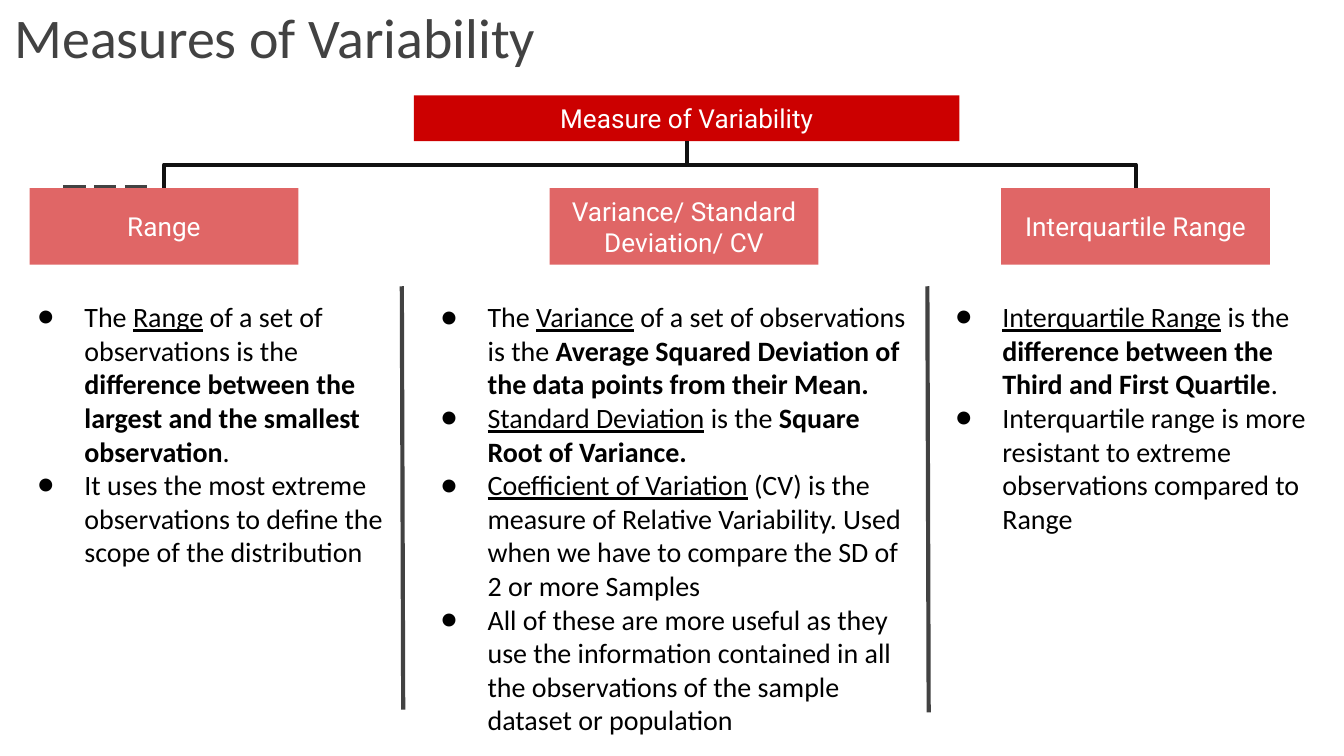
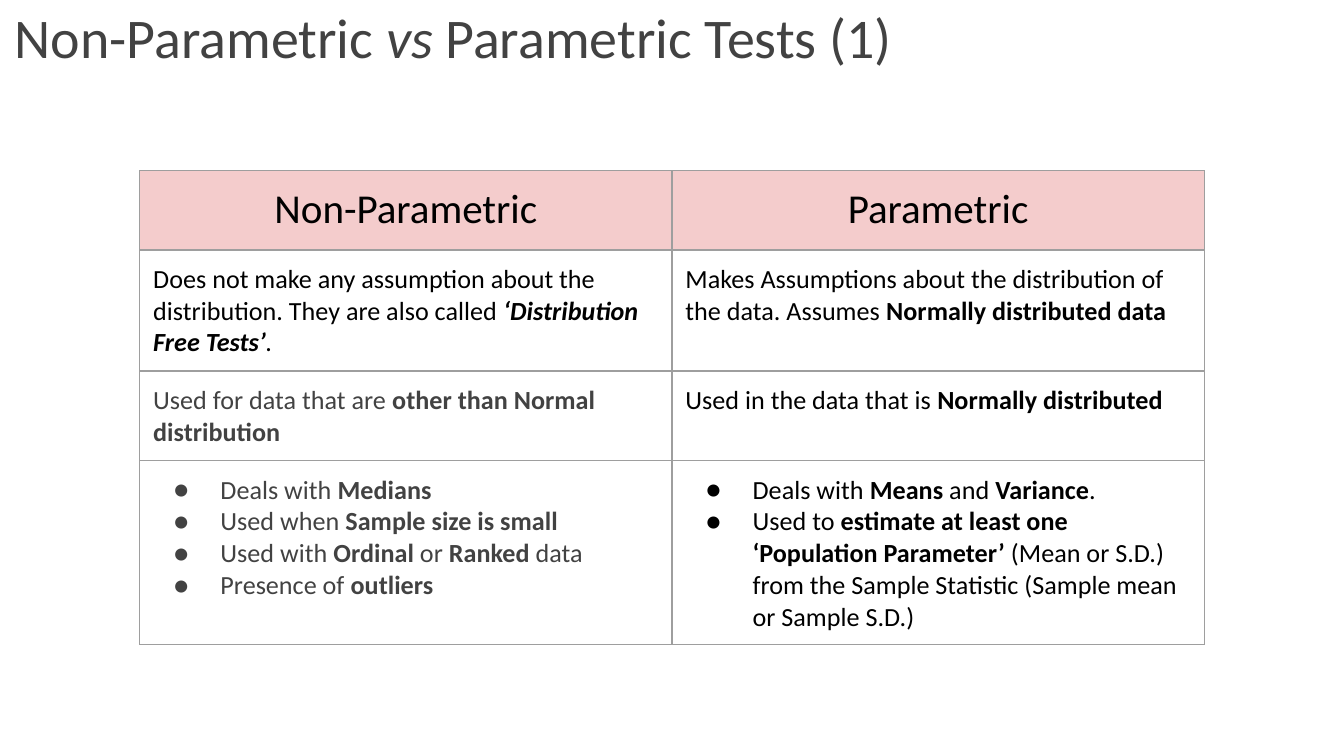
from lxml import etree
from pptx import Presentation
from pptx.dml.color import RGBColor
from pptx.enum import dml, shapes, text
from pptx.oxml import ns
from pptx.util import Inches, Pt

BLACK = RGBColor(0, 0, 0)
WHITE = RGBColor(0xFF, 0xFF, 0xFF)
GREY = RGBColor(0x42, 0x42, 0x42)
INK = RGBColor(0x11, 0x11, 0x11)
RED = RGBColor(0xCC, 0, 0)
ROSE = RGBColor(0xE0, 0x66, 0x66)
PINK = RGBColor(0xF4, 0xCC, 0xCC)
EDGE = RGBColor(0x9E, 0x9E, 0x9E)
BODY, LABEL = "Calibri", "Roboto"

# Content: a paragraph is a list of (words, marks); marks are b, i, u
ROOT = ("Measure of Variability", 3.08, 0.71, 4.06, 0.34)
BRANCHES = [
    # label, box left, list left, list width, list height, points
    ("Range", 0.22, 0.03, 3.12, 2, [
        [("The ", ""), ("Range", "u"), (" of a set of observations is the ", ""),
         ("difference between the largest and the smallest observation", "b"),
         (".", "")],
        [("It uses the most extreme observations to define the scope of "
          "the distribution", "")],
    ]),
    ("Variance/ Standard Deviation/ CV", 4.09, 3.03, 3.83, 3.41, [
        [("The ", ""), ("Variance", "u"), (" of a set of observations is the ", ""),
         ("Average Squared Deviation of the data points from their Mean.", "b")],
        [("Standard Deviation", "u"), (" is the ", ""),
         ("Square Root of Variance.", "b")],
        [("Coefficient of Variation", "u"),
         (" (CV) is the measure of Relative Variability. Used when we have "
          "to compare the SD of 2 or more Samples", "")],
        [("All of these are more useful as they use the information contained "
          "in all the observations of the sample dataset or population", "")],
    ]),
    ("Interquartile Range", 7.45, 6.86, 3.05, 2, [
        [("Interquartile Range", "u"), (" is the ", ""),
         ("difference between the Third and First Quartile", "b"), (".", "")],
        [("Interquartile range is more resistant to extreme observations "
          "compared to Range", "")],
    ]),
]
RULES = [(2.99, 3, 5.28), (6.9, 6.91, 5.3)]

HEADS = ["Non-Parametric", "Parametric"]
ROWS = [
    # height, bulleted, then (colour, paragraphs) for each cell
    (0.52, False,
     (BLACK, [[("Does not make any assumption about the distribution. "
                "They are also called ", ""),
               ("‘Distribution Free Tests’", "bi"), (".", "i")]]),
     (BLACK, [[("Makes Assumptions about the distribution of the data. "
                "Assumes ", ""), ("Normally distributed data", "b")]])),
    (0.5, False,
     (GREY, [[("Used for data that are ", ""),
              ("other than Normal distribution", "b")]]),
     (BLACK, [[("Used in the data that is ", ""),
               ("Normally distributed", "b")]])),
    (0.56, True,
     (GREY, [[("Deals with ", ""), ("Medians", "b")],
             [("Used when ", ""), ("Sample size is small", "b")],
             [("Used with ", ""), ("Ordinal", "b"), (" or ", ""),
              ("Ranked", "b"), (" data", "")],
             [("Presence of ", ""), ("outliers", "b")]]),
     (BLACK, [[("Deals with ", ""), ("Means", "b"), (" and ", ""),
               ("Variance", "b"), (".", "")],
              [("Used to ", ""),
               ("estimate at least one ‘Population Parameter’", "b"),
               (" (Mean or S.D.) from the Sample Statistic "
                "(Sample mean or Sample S.D.)", "")]])),
]


def sub(node, tag, **attrs):
    return etree.SubElement(node, ns.qn(tag), attrs)


def bullet(para, color):
    props = para._p.get_or_add_pPr()
    props.set("marL", str(Inches(0.5)))
    props.set("indent", str(-Inches(0.35)))
    sub(sub(props, "a:buClr"), "a:srgbClr", val=str(color))
    sub(props, "a:buFont", typeface=BODY)
    sub(props, "a:buChar", char="●")


def write(frame, paras, size, color, face=BODY, align=text.PP_ALIGN.LEFT,
          dots=False):
    for n, runs in enumerate(paras):
        para = frame.add_paragraph() if n else frame.paragraphs[0]
        para.alignment = align
        if dots:
            bullet(para, color)
        for words, marks in runs:
            run = para.add_run()
            run.text = words
            font = run.font
            font.name, font.size = face, Pt(size)
            font.color.rgb = color
            font.bold, font.italic = "b" in marks, "i" in marks
            font.underline = "u" in marks


def pad(frame, anchor):
    frame.word_wrap = True
    frame.vertical_anchor = anchor
    frame.margin_left = frame.margin_right = Inches(0.1)
    frame.margin_top = frame.margin_bottom = Inches(0.1)


def area(slide, box, anchor=text.MSO_ANCHOR.TOP):
    frame = slide.shapes.add_textbox(*map(Inches, box)).text_frame
    pad(frame, anchor)
    return frame


def add_page(deck, runs):
    slide = deck.slides.add_slide(deck.slide_layouts[6])
    frame = area(slide, (0.01, -0.01, 9.32, 0.63), text.MSO_ANCHOR.BOTTOM)
    write(frame, [runs], 30, GREY)
    return slide


def add_box(slide, label, box, fill):
    rect = slide.shapes.add_shape(shapes.MSO_SHAPE.RECTANGLE, *map(Inches, box))
    rect.shadow.inherit = False
    rect.fill.solid()
    rect.fill.fore_color.rgb = fill
    rect.line.fill.background()
    pad(rect.text_frame, text.MSO_ANCHOR.MIDDLE)
    write(rect.text_frame, [[(label, "")]], 14, WHITE, LABEL,
          text.PP_ALIGN.CENTER)
    return rect


def add_line(slide, kind, ends, color, width):
    line = slide.shapes.add_connector(kind, *map(Inches, ends))
    line.line.color.rgb = color
    line.line.width = Pt(width)
    sub(line._element.spPr, "a:effectLst")
    return line


def join(slide, top, low):
    """Elbow that leaves the bottom of one box and enters the top of another."""
    link = add_line(slide, shapes.MSO_CONNECTOR.ELBOW, (0, 0, 1, 1), INK, 2.25)
    link.begin_connect(top, 2)
    link.end_connect(low, 0)
    x1, y1 = top.left + top.width // 2, top.top + top.height
    x2, y2 = low.left + low.width // 2, low.top
    # Turned a quarter so that the middle leg runs level
    wide, high = y2 - y1, abs(x2 - x1)
    link.left, link.top = (x1 + x2 - wide) // 2, (y1 + y2 - high) // 2
    link.width, link.height = wide, high
    frame = link._element.spPr.find(ns.qn("a:xfrm"))
    for key in ("flipH", "flipV"):
        frame.attrib.pop(key, None)
    right = x2 > x1
    frame.set("rot", str((270 if right else 90) * 60000))
    if right:
        frame.set("flipH", "1")


def style(cell, fill=None):
    cell.margin_left = cell.margin_right = Inches(0.1)
    cell.margin_top = cell.margin_bottom = Inches(0.1)
    props = cell._tc.get_or_add_tcPr()
    for side in "LRTB":
        edge = sub(props, "a:ln" + side, w=str(Pt(0.75)))
        sub(sub(edge, "a:solidFill"), "a:srgbClr", val=str(EDGE))
    if fill is None:
        cell.fill.background()
    else:
        cell.fill.solid()
        cell.fill.fore_color.rgb = fill


def add_tree(deck):
    slide = add_page(deck, [("Measures of Variability", "")])
    straight = shapes.MSO_CONNECTOR.STRAIGHT
    dash = add_line(slide, straight, (0.47, 1.39, 1.14, 1.39), GREY, 1.5)
    dash.line.dash_style = dml.MSO_LINE.LONG_DASH
    root = add_box(slide, ROOT[0], ROOT[1:], RED)
    for label, x, left, width, height, points in BRANCHES:
        node = add_box(slide, label, (x, 1.4, 2, 0.57), ROSE)
        if label != BRANCHES[1][0]:
            join(slide, root, node)
        frame = area(slide, (left, 2.13, width, height))
        write(frame, points, 15, BLACK, dots=True)
    for x1, x2, end in RULES:
        add_line(slide, straight, (x1, 2.13, x2, end), GREY, 2.25)


def add_grid(deck):
    slide = add_page(deck, [("Non-Parametric ", ""), ("vs ", "i"),
                            ("Parametric Tests (1)", "")])
    wide, head = 3.96, 0.59
    high = head + sum(row[0] for row in ROWS)
    box = (1.04, 1.27, wide * len(HEADS), high)
    table = slide.shapes.add_table(len(ROWS) + 1, len(HEADS),
                                   *map(Inches, box)).table
    table.first_row = table.horz_banding = False
    table.rows[0].height = Inches(head)
    for c, name in enumerate(HEADS):
        table.columns[c].width = Inches(wide)
        cell = table.cell(0, c)
        style(cell, PINK)
        write(cell.text_frame, [[(name, "")]], 22, BLACK,
              align=text.PP_ALIGN.CENTER)
    for r, (height, dots, *cells) in enumerate(ROWS, 1):
        table.rows[r].height = Inches(height)
        for c, (color, paras) in enumerate(cells):
            cell = table.cell(r, c)
            style(cell)
            write(cell.text_frame, paras, 14, color, dots=dots)


def main():
    deck = Presentation()
    # Widescreen, 16 to 9
    deck.slide_width = Inches(10)
    deck.slide_height = deck.slide_width * 9 // 16
    add_tree(deck)
    add_grid(deck)
    deck.save("out.pptx")


if __name__ == "__main__":
    main()
